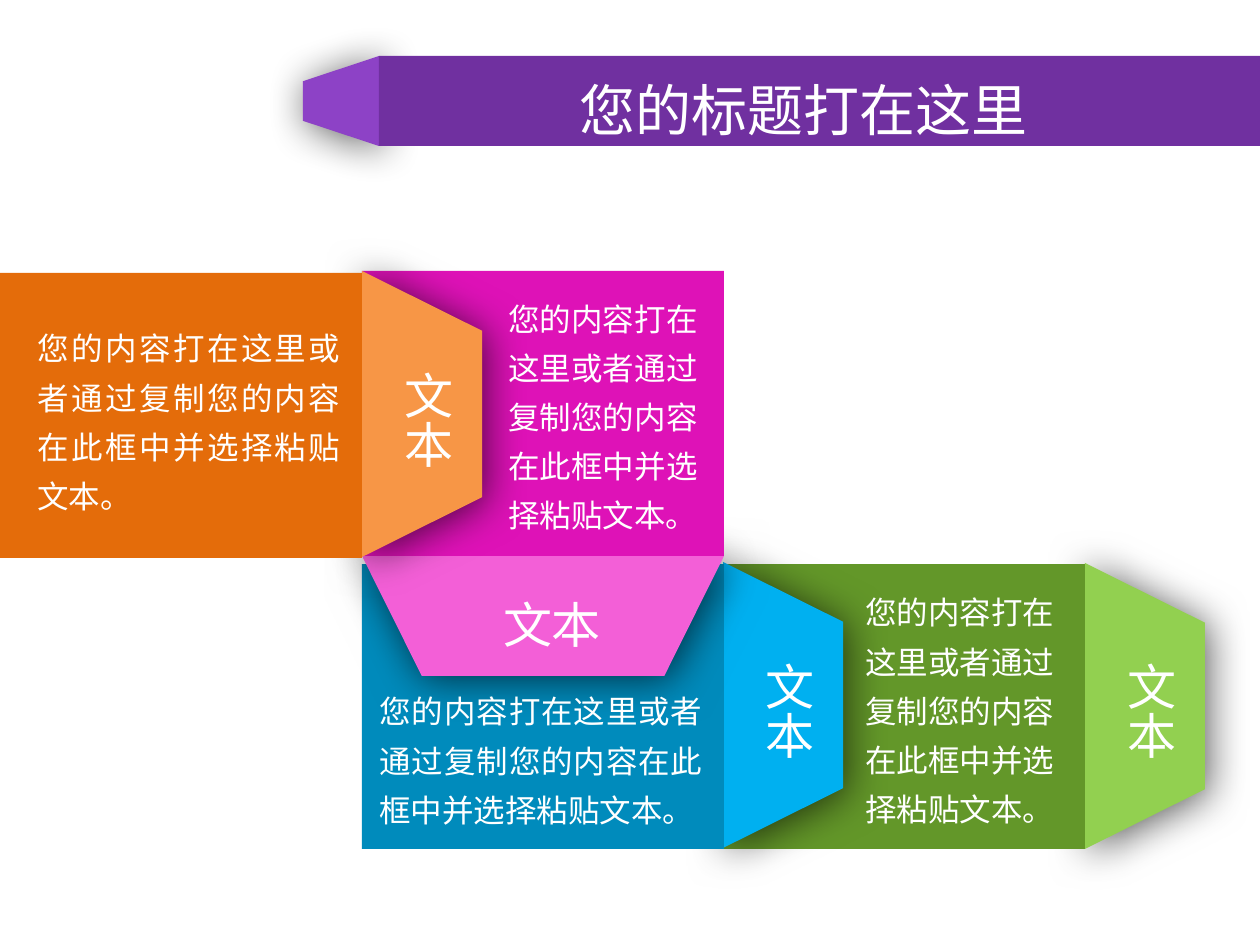
from lxml.etree import SubElement
from pptx import Presentation
from pptx.dml.color import RGBColor
from pptx.enum.shapes import MSO_SHAPE
from pptx.enum.text import MSO_ANCHOR, MSO_AUTO_SIZE, PP_ALIGN
from pptx.oxml.ns import qn
from pptx.util import Emu, Pt

SCALE = 914400 / 126
FONT = "Noto Sans CJK SC"
TITLE = "您的标题打在这里"
LABEL = "文本"
CONTENT = "您的内容打在这里或者通过复制您的内容在此框中并选择粘贴文本。"

WHITE = RGBColor(0xFF, 0xFF, 0xFF)
PURPLE = RGBColor(0x70, 0x30, 0xA0)
LIGHT_PURPLE = RGBColor(0x8D, 0x42, 0xC6)
GREEN = RGBColor(0x63, 0x97, 0x29)
LIGHT_GREEN = RGBColor(0x92, 0xD0, 0x50)
BLUE = RGBColor(0x00, 0x8B, 0xBC)
LIGHT_BLUE = RGBColor(0x00, 0xB0, 0xF0)
PINK = RGBColor(0xDE, 0x12, 0xB7)
LIGHT_PINK = RGBColor(0xF3, 0x5F, 0xD7)
ORANGE = RGBColor(0xE4, 0x6C, 0x0A)
LIGHT_ORANGE = RGBColor(0xF7, 0x96, 0x46)

PANEL_WIDTH, PANEL_HEIGHT = 362, 285
FLAP_DEPTH = 120
COLUMNS = [0, 362, 723, 1085]


def px(length):
    return Emu(round(length * SCALE))


def add_filled_shape(slide, kind, box, color):
    shape = slide.shapes.add_shape(kind, *map(px, box))
    shape.shadow.inherit = False
    shape.fill.solid()
    shape.fill.fore_color.rgb = color
    shape.line.fill.background()
    return shape


def add_panel(slide, left, top, color, width=PANEL_WIDTH, height=PANEL_HEIGHT):
    add_filled_shape(slide, MSO_SHAPE.RECTANGLE, (left, top, width, height), color)


def add_soft_shadow(shape):
    effects = shape._element.spPr.find(qn("a:effectLst"))
    shadow = SubElement(effects, qn("a:outerShdw"), blurRad=str(Pt(24)), dist=str(Pt(3)),
                        dir=str(45 * 60000), algn="ctr", rotWithShape="0")
    color = SubElement(shadow, qn("a:srgbClr"), val="000000")
    SubElement(color, qn("a:alpha"), val="64000")


def add_flap(slide, box, color, rotation, slant=0.498):
    """Add a shadowed trapezoid that covers box once it is rotated."""
    left, top, width, height = box
    if rotation in (90, 270):
        left, top = left + (width - height) / 2, top + (height - width) / 2
        width, height = height, width
    flap = add_filled_shape(slide, MSO_SHAPE.TRAPEZOID, (left, top, width, height), color)
    flap.adjustments[0] = slant
    flap.rotation = rotation
    add_soft_shadow(flap)


def add_side_flap(slide, left, top, color):
    add_flap(slide, (left, top, FLAP_DEPTH, PANEL_HEIGHT + 1), color, rotation=90)


def write_text(shape, text, size=18, align=PP_ALIGN.JUSTIFY, spacing=1.3, vertical=False):
    frame = shape.text_frame
    frame.word_wrap = not vertical
    frame.auto_size = MSO_AUTO_SIZE.SHAPE_TO_FIT_TEXT
    frame.vertical_anchor = MSO_ANCHOR.TOP
    if vertical:
        frame._txBody.bodyPr.set("vert", "eaVert")
    paragraph = frame.paragraphs[0]
    paragraph.alignment = align
    paragraph.line_spacing = spacing
    run = paragraph.add_run()
    run.text = text
    run.font.size = Pt(size)
    run.font.color.rgb = WHITE
    run.font.name = FONT
    SubElement(run._r.get_or_add_rPr(), qn("a:ea"), typeface=FONT)


def add_text(slide, box, text, **text_format):
    write_text(slide.shapes.add_textbox(*map(px, box)), text, **text_format)


def add_title(slide):
    title = slide.shapes.title
    title.left, title.top, title.width, title.height = map(px, (567, 49, 536, 101))
    write_text(title, TITLE, size=32)
    slide.shapes._spTree.append(title._element)


def main():
    presentation = Presentation()
    presentation.slide_width, presentation.slide_height = px(1260), px(945)
    slide = presentation.slides.add_slide(presentation.slide_layouts[5])

    add_flap(slide, (303, 56, 76, 90), LIGHT_PURPLE, rotation=270, slant=0.331)
    add_side_flap(slide, COLUMNS[3], 563, LIGHT_GREEN)
    add_panel(slide, COLUMNS[2], 564, GREEN)
    add_side_flap(slide, COLUMNS[2], 562, LIGHT_BLUE)
    add_panel(slide, COLUMNS[1], 564, BLUE)
    add_flap(slide, (COLUMNS[1], 556, PANEL_WIDTH, FLAP_DEPTH), LIGHT_PINK, rotation=180)
    add_panel(slide, COLUMNS[1], 271, PINK)
    add_side_flap(slide, COLUMNS[1], 271, LIGHT_ORANGE)
    add_panel(slide, COLUMNS[0], 273, ORANGE)

    add_text(slide, (464, 571, 176, 82), LABEL, size=28, align=PP_ALIGN.CENTER)
    for column, top in zip(COLUMNS[1:], (359, 650, 650)):
        add_text(slide, (column + 17, top, 84, 112), LABEL, size=28,
                 align=PP_ALIGN.LEFT, spacing=1.0, vertical=True)

    for box in ((496, 282, 214, 261), (367, 675, 348, 161),
                (853, 576, 214, 261), (25, 312, 328, 212)):
        add_text(slide, box, CONTENT)

    add_panel(slide, 379, 56, PURPLE, width=885, height=90)
    add_title(slide)
    presentation.save("out.pptx")


if __name__ == "__main__":
    main()
